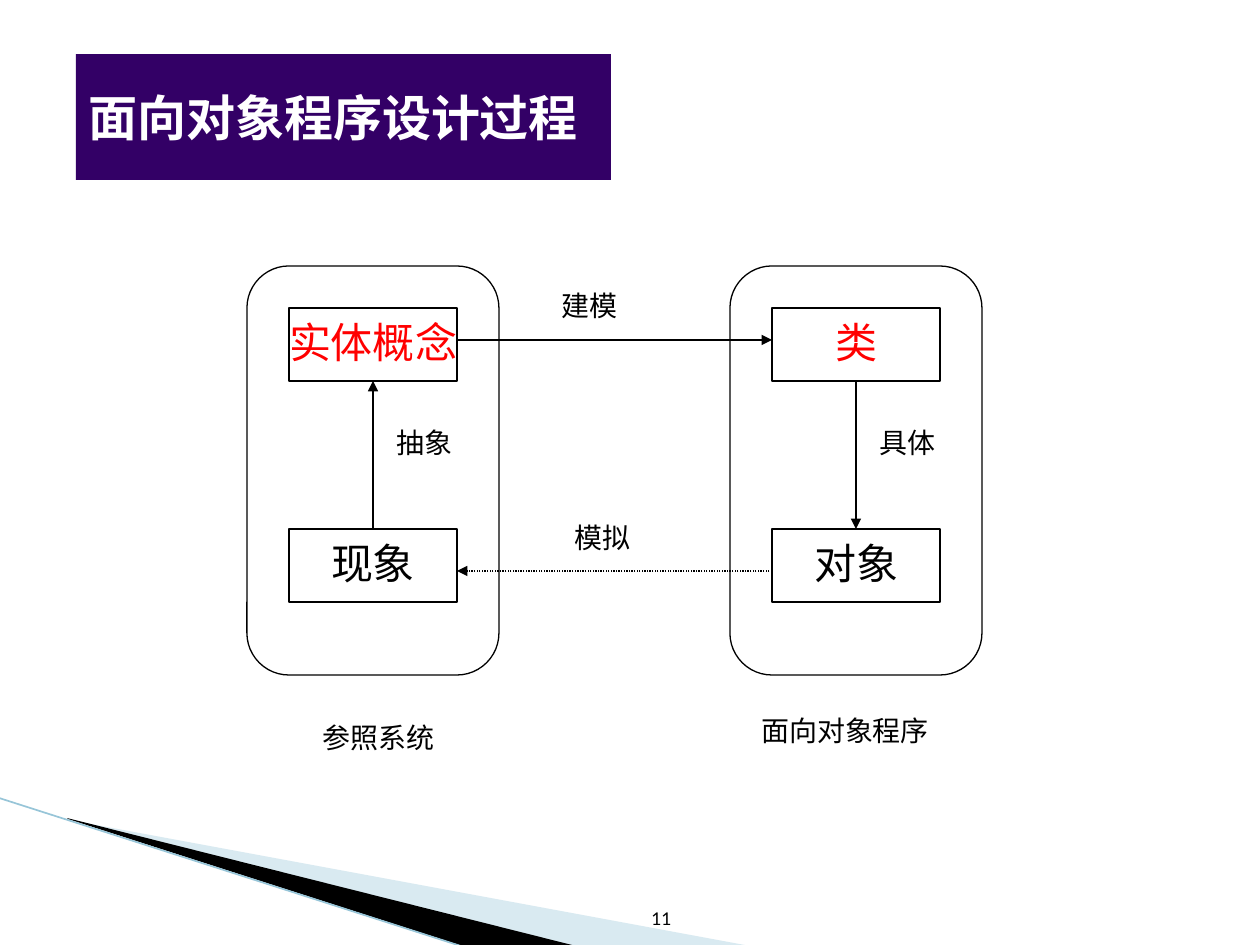
"""Build the slide on the object-oriented program design process."""
from lxml.etree import SubElement
from pptx import Presentation
from pptx.dml.color import RGBColor as Rgb
from pptx.enum.dml import MSO_LINE as Dash
from pptx.enum.shapes import MSO_CONNECTOR as Conn, MSO_SHAPE as Kind
from pptx.enum.text import MSO_ANCHOR as Anchor, MSO_AUTO_SIZE as Fit, PP_ALIGN as Align
from pptx.oxml.ns import qn
from pptx.util import Pt

PX = 914400 / 126
WIDE, HIGH = 1260, 945
BLACK = Rgb(0, 0, 0)
WHITE = Rgb(255, 255, 255)
RED = Rgb(255, 0, 0)
PURPLE = Rgb(0x33, 0x00, 0x66)
PALE = Rgb(0xA0, 0xCB, 0xDC)
TEAL = Rgb(0x97, 0xC5, 0xD8)
LEFT, RIGHT = 247, 730
UPPER, LOWER = 308, 529
INSET, BOX_W, BOX_H = 42, 168, 73


def emu(*nums):
    return [round(num * PX) for num in nums]


def apply(item, vals):
    for name, val in vals.items():
        setattr(item, name, val)


def write(shape, text, size, color=BLACK, bold=False, align=Align.LEFT,
          space=0.9, **frame):
    body = shape.text_frame
    apply(body, {"text": text, "word_wrap": False, "auto_size": Fit.NONE, **frame})
    para = body.paragraphs[0]
    apply(para, {"alignment": align, "line_spacing": space})
    font = para.runs[0].font
    apply(font, {"name": "Lato", "size": Pt(size), "bold": bold})
    font.color.rgb = color


def add_title(slide, text):
    title = slide.shapes.title
    apply(title, dict(zip(("left", "top", "width", "height"), emu(76, 54, 535, 126))))
    title.fill.solid()
    title.fill.fore_color.rgb = PURPLE
    write(title, text, 28, WHITE, True, space=1.0, vertical_anchor=Anchor.MIDDLE)


def add_wedge(slide, points, color, alpha=None):
    spots = [emu(*point) for point in points]
    form = slide.shapes.build_freeform(*spots[0])
    form.add_line_segments(spots[1:])
    shape = form.convert_to_shape()
    shape.shadow.inherit = False
    shape.fill.solid()
    shape.fill.fore_color.rgb = color
    shape.line.fill.background()
    if alpha:
        tint = shape.fill._xPr.find(".//" + qn("a:srgbClr"))
        SubElement(tint, qn("a:alpha"), val=str(alpha * 1000))


def add_frame(slide, kind, *area):
    shape = slide.shapes.add_shape(kind, *emu(*area))
    shape.shadow.inherit = False
    shape.fill.background()
    shape.line.color.rgb = BLACK
    shape.line.width = Pt(0.75)
    return shape


def add_box(slide, left, top, text, color):
    box = add_frame(slide, Kind.FLOWCHART_PROCESS, left + INSET, top, BOX_W, BOX_H)
    write(box, text, 24, color, align=Align.CENTER, vertical_anchor=Anchor.MIDDLE)


def add_line(slide, ends, color=BLACK, width=0.75, dash=None, arrow=True):
    link = slide.shapes.add_connector(Conn.STRAIGHT, *emu(*ends))
    link.line.color.rgb = color
    link.line.width = Pt(width)
    if dash:
        link.line.dash_style = dash
    if arrow:
        SubElement(link.line._get_or_add_ln(), qn("a:tailEnd"), type="triangle")
    SubElement(link._element.spPr, qn("a:effectLst"))


def add_label(slide, text, left, top, width):
    label = slide.shapes.add_textbox(*emu(left, top, width, 43))
    write(label, text, 16)


def add_flow(slide):
    for left in (LEFT, RIGHT):
        add_frame(slide, Kind.FLOWCHART_ALTERNATE_PROCESS, left, 266, 252, 409)
    for left, top, text, color in (
        (LEFT, UPPER, "实体概念", RED),
        (RIGHT, LOWER, "对象", BLACK),
        (LEFT, LOWER, "现象", BLACK),
        (RIGHT, UPPER, "类", RED),
    ):
        add_box(slide, left, top, text, color)
    start, end = LEFT + INSET + BOX_W, RIGHT + INSET
    near, far = LEFT + 126, RIGHT + 126
    base = UPPER + BOX_H
    add_line(slide, (start, 340, end, 340))
    add_line(slide, (far, base, far, LOWER))
    add_line(slide, (end, 571, start, 571), dash=Dash.ROUND_DOT)
    add_line(slide, (near, LOWER, near, base))
    for text, left, top, width in (
        ("建模", 549, 286, 82),
        ("具体", 867, 423, 82),
        ("抽象", 384, 423, 82),
        ("模拟", 562, 518, 82),
        ("参照系统", 310, 718, 137),
        ("面向对象程序", 749, 711, 214),
    ):
        add_label(slide, text, left, top, width)


def main():
    deck = Presentation()
    deck.slide_width, deck.slide_height = emu(WIDE, HIGH)
    slide = deck.slides.add_slide(deck.slide_layouts[5])
    add_wedge(slide, [(69, 820), (750, 946), (575, 946), (69, 819)], PALE, 40)
    add_wedge(slide, [(67, 818), (576, 946), (469, 948), (68, 819)], BLACK)
    add_line(slide, (-1, 798, 467, 948), TEAL, 0.95, arrow=False)
    number = slide.shapes.add_textbox(*emu(462, 872, 399, 63))
    write(number, "11", 10, align=Align.CENTER, space=1.0,
          vertical_anchor=Anchor.BOTTOM)
    add_flow(slide)
    add_title(slide, "面向对象程序设计过程")
    deck.save("out.pptx")


if __name__ == "__main__":
    main()
